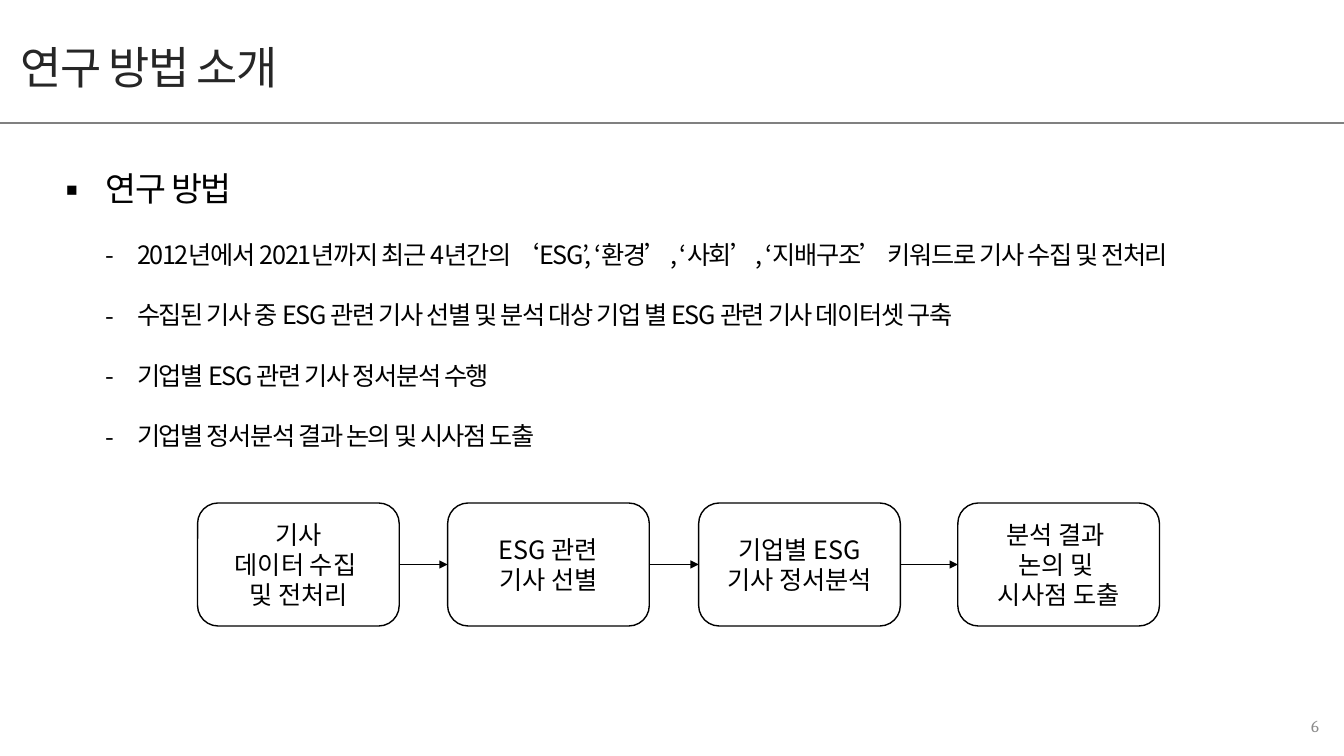
from lxml import etree
from pptx import Presentation
from pptx.dml.color import RGBColor
from pptx.enum.shapes import MSO_CONNECTOR, MSO_SHAPE
from pptx.enum.text import MSO_ANCHOR, MSO_AUTO_SIZE, PP_ALIGN
from pptx.oxml.ns import qn
from pptx.util import Inches, Pt

STRAIGHT = MSO_CONNECTOR.STRAIGHT
ROUNDED = MSO_SHAPE.ROUNDED_RECTANGLE
TOP, MIDDLE = MSO_ANCHOR.TOP, MSO_ANCHOR.MIDDLE
LEFT, CENTER, RIGHT = PP_ALIGN.LEFT, PP_ALIGN.CENTER, PP_ALIGN.RIGHT
NO_AUTOFIT = MSO_AUTO_SIZE.NONE

TITLE = "연구 방법 소개"
PAGE = "6"
METHOD = [
    (0, "연구 방법"),
    (1, "2012년에서 2021년까지 최근 4년간의 ‘ESG’, ‘환경’, ‘사회’, ‘지배구조’ 키워드로 기사 수집 및 전처리"),
    (1, "수집된 기사 중 ESG 관련 기사 선별 및 분석 대상 기업 별 ESG 관련 기사 데이터셋 구축"),
    (1, "기업별 ESG 관련 기사 정서분석 수행"),
    (1, "기업별 정서분석 결과 논의 및 시사점 도출"),
]
LEVELS = [("▪", 24, 0.5, 0.5), ("-", 18, 0.81, 0.31)]
STEPS = [
    (1.96, "기사\n데이터 수집 \n및 전처리"),
    (4.44, "ESG 관련\n기사 선별"),
    (6.93, "기업별 ESG\n기사 정서분석"),
    (9.5, "분석 결과 \n논의 및 \n시사점 도출"),
]
STEP_TOP, STEP_WIDTH, STEP_HEIGHT = 4.99, 2, 1.22
WIDTH, HEIGHT, HEADER = 13.33, 7.5, 1.22
FONT = "Noto Sans CJK KR"


def color(value):
    return RGBColor.from_string(value)


def place(shape, left, top, width, height):
    shape.left, shape.top = Inches(left), Inches(top)
    shape.width, shape.height = Inches(width), Inches(height)


def style(paragraph, size, hex_color, align, font=FONT, tracking=0, spacing=1.0):
    paragraph.alignment = align
    paragraph.line_spacing = spacing
    paragraph.space_before = paragraph.space_after = Pt(0)
    for run in paragraph.runs:
        run.font.size = Pt(size)
        run.font.color.rgb = color(hex_color)
        run.font.name = font
        properties = run.font._element
        etree.SubElement(properties, qn("a:ea")).set("typeface", font)
        if tracking:
            properties.set("spc", str(tracking * 100))


def set_bullet(paragraph, char, margin, hanging):
    properties = paragraph._p.get_or_add_pPr()
    properties.set("marL", str(Inches(margin)))
    properties.set("indent", str(-Inches(hanging)))
    etree.SubElement(properties, qn("a:buFont")).set("typeface", FONT)
    etree.SubElement(properties, qn("a:buChar")).set("char", char)


def draw_line(start, end, hex_color, weight):
    line = slide.shapes.add_connector(STRAIGHT, *map(Inches, start + end))
    line.line.color.rgb = color(hex_color)
    line.line.width = Pt(weight)
    etree.SubElement(line._element.spPr, qn("a:effectLst"))
    return line


deck = Presentation()
deck.slide_width, deck.slide_height = Inches(WIDTH), Inches(HEIGHT)
slide = deck.slides.add_slide(deck.slide_layouts[1])

draw_line((0, HEADER), (WIDTH, HEADER), "808080", 1)

title = slide.shapes.title
place(title, 0.1, 0.29, 2.88, 0.65)
title.text_frame.text = TITLE
title.text_frame.word_wrap = False
title.text_frame.auto_size = NO_AUTOFIT
title.text_frame.vertical_anchor = TOP
style(title.text_frame.paragraphs[0], 32, "262626", LEFT, tracking=-1, spacing=1.1)

page = slide.shapes.add_textbox(0, 0, 0, 0)
place(page, 10.18, 7, 3, 0.4)
page.text_frame.text = PAGE
page.text_frame.word_wrap = True
page.text_frame.vertical_anchor = MIDDLE
style(page.text_frame.paragraphs[0], 12, "8C8C8C", RIGHT, font="Cambria")

method = slide.placeholders[1]
place(method, 0.45, HEADER, 12.44, 3.24)
method.text_frame.text = "\n".join(text for _, text in METHOD)
method.text_frame.auto_size = NO_AUTOFIT
method.text_frame.vertical_anchor = TOP
for paragraph, (level, _) in zip(method.text_frame.paragraphs, METHOD):
    char, size, margin, hanging = LEVELS[level]
    paragraph.level = level
    style(paragraph, size, "000000", LEFT, tracking=-1, spacing=2.0)
    set_bullet(paragraph, char, margin, hanging)

steps = []
for left, text in STEPS:
    step = slide.shapes.add_shape(ROUNDED, 0, 0, 0, 0)
    place(step, left, STEP_TOP, STEP_WIDTH, STEP_HEIGHT)
    step.shadow.inherit = False
    step.fill.background()
    step.line.color.rgb = color("000000")
    step.line.width = Pt(1)
    step.text_frame.text = text
    step.text_frame.word_wrap = True
    step.text_frame.vertical_anchor = MIDDLE
    for paragraph in step.text_frame.paragraphs:
        style(paragraph, 18, "000000", CENTER)
    steps.append(step)

for before, after in zip(steps, steps[1:]):
    arrow = draw_line((0, 0), (0, 0), "000000", 0.5)
    arrow.begin_connect(before, 3)
    arrow.end_connect(after, 1)
    etree.SubElement(arrow.line._get_or_add_ln(), qn("a:tailEnd")).set("type", "triangle")

deck.save("out.pptx")
